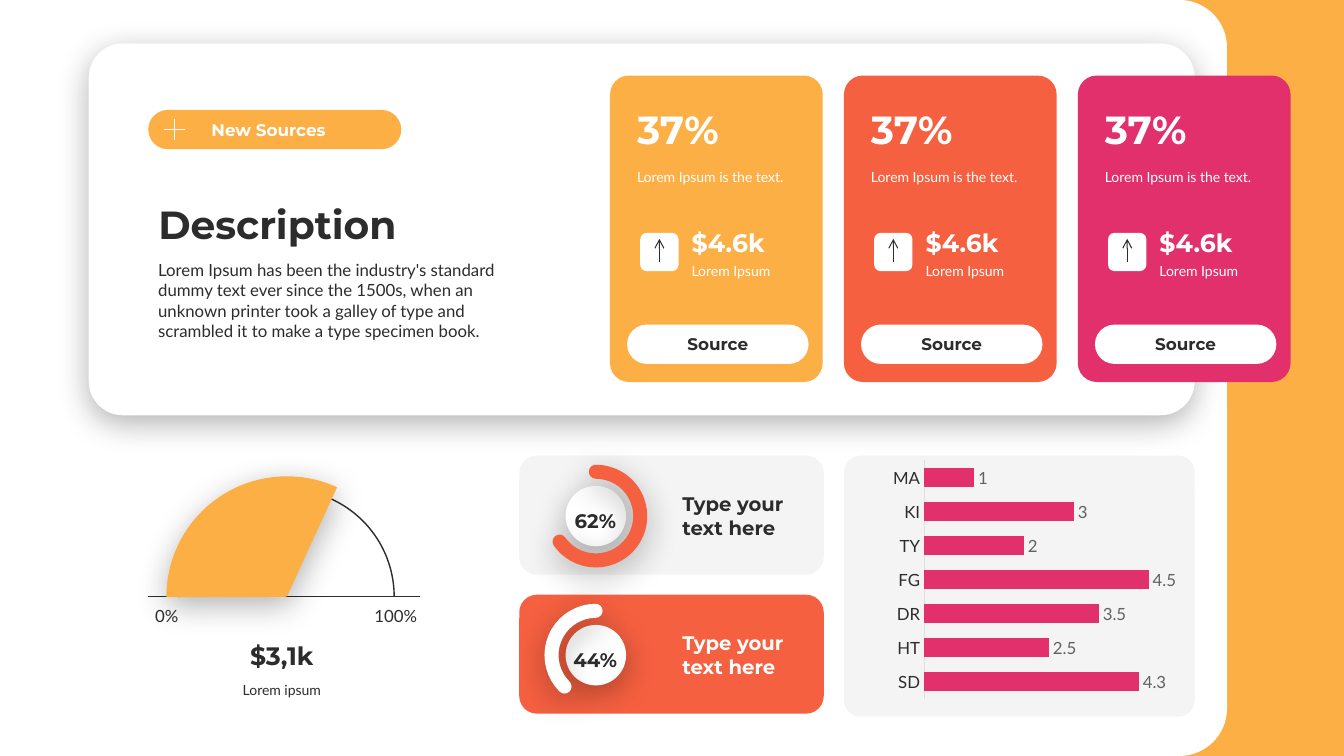
from lxml import etree
from pptx import Presentation
from pptx.chart.data import CategoryChartData
from pptx.dml.color import RGBColor
from pptx.enum.chart import XL_CHART_TYPE, XL_LABEL_POSITION, XL_TICK_MARK
from pptx.enum.shapes import MSO_CONNECTOR, MSO_SHAPE
from pptx.enum.text import MSO_ANCHOR, MSO_AUTO_SIZE, PP_ALIGN
from pptx.oxml.ns import qn
from pptx.util import Inches, Pt

RECTANGLE, ROUNDED = MSO_SHAPE.RECTANGLE, MSO_SHAPE.ROUNDED_RECTANGLE
OVAL, ARC = MSO_SHAPE.OVAL, MSO_SHAPE.ARC
LEFT, CENTER = PP_ALIGN.LEFT, PP_ALIGN.CENTER
TOP, MIDDLE, BOTTOM = MSO_ANCHOR.TOP, MSO_ANCHOR.MIDDLE, MSO_ANCHOR.BOTTOM
HEADING, BODY = "Montserrat", "Lato"
YELLOW, ORANGE, PINK = "FCAF45", "F56040", "E1306C"
WHITE, DARK, GRAY, AXIS_GRAY = "FFFFFF", "2C2C2C", "616161", "DFDFDF"

# Content
TITLE = "Description"
DESCRIPTION = ("Lorem Ipsum has been the industry's standard dummy text ever since the "
               "1500s, when an unknown printer took a galley of type and scrambled it "
               "to make a type specimen book.")
BADGE = "New Sources"
CARDS = [  # colour, share, caption, amount, amount caption, button
    (color, "37%", "Lorem Ipsum is the text.", "$4.6k", "Lorem Ipsum", "Source")
    for color in (YELLOW, ORANGE, PINK)
]
GAUGE_LABELS = [("0%", 1.54, 0.23), ("100%", 3.71, 0.43)]
GAUGE_AMOUNT, GAUGE_CAPTION = "$3,1k", "Lorem ipsum"
RINGS = [  # share, text, box colour, box opacity, ring colour, text colour, arc angles
    ("62%", "Type your text here", DARK, 5, ORANGE, DARK, (270, 144.91)),
    ("44%", "Type your text here", ORANGE, 100, WHITE, WHITE, (134.91, 269.66)),
]
BARS = {"SD": 4.3, "HT": 2.5, "DR": 3.5, "FG": 4.5, "TY": 2, "KI": 3, "MA": 1}

# Grid, in inches
SLIDE_WIDTH, SLIDE_HEIGHT = 13.33, 7.5
TEXT_LEFT, TEXT_WIDTH = 1.47, 3.68
CARD_LEFT, CARD_TOP, CARD_STEP = 6.05, 0.75, 2.32
RING_LEFT, RING_TOP, RING_STEP = 5.15, 4.52, 1.38
GAUGE_X, GAUGE_Y = 2.845, 5.92

presentation = Presentation()
presentation.slide_width = Inches(SLIDE_WIDTH)
presentation.slide_height = Inches(SLIDE_HEIGHT)
slide = presentation.slides.add_slide(presentation.slide_layouts[5])
shapes = slide.shapes


def rgb(color):
    return RGBColor.from_string(color)


def box(left, top, width, height):
    return [Inches(value) for value in (left, top, width, height)]


def add_alpha(color_element, percent):
    etree.SubElement(color_element, qn("a:alpha"), val=str(percent * 1000))


def add_shadow(shape):
    effects = shape._element.spPr.find(qn("a:effectLst"))
    shadow = etree.SubElement(effects, qn("a:outerShdw"), blurRad=str(Pt(23)),
                              dist=str(Pt(6)), dir="5400000", algn="t", rotWithShape="0")
    add_alpha(etree.SubElement(shadow, qn("a:srgbClr"), val="000000"), 30)


def add_shape(kind, bounds, fill=None, adjust=(), opacity=100, line=None, shadow=False):
    shape = shapes.add_shape(kind, *box(*bounds))
    for index, value in enumerate(adjust):
        shape.adjustments[index] = value
    shape.shadow.inherit = False
    if fill:
        shape.fill.solid()
        shape.fill.fore_color.rgb = rgb(fill)
        if opacity < 100:
            add_alpha(shape._element.spPr.find(qn("a:solidFill"))[0], opacity)
    else:
        shape.fill.background()
    if line:
        shape.line.color.rgb = rgb(line[0])
        shape.line.width = Pt(line[1])
    else:
        shape.line.fill.background()
    if shadow:
        add_shadow(shape)
    return shape


def add_arc(radius, start, end, center=(GAUGE_X, GAUGE_Y), **style):
    bounds = (center[0] - radius, center[1] - radius, 2 * radius, 2 * radius)
    return add_shape(ARC, bounds, adjust=(start * 0.6, end * 0.6), **style)


def write(shape, text, size, color, font=BODY, align=LEFT, anchor=TOP, inset=0.1,
          wrap=True):
    frame = shape.text_frame
    frame.text = text
    frame.word_wrap = wrap
    frame.auto_size = MSO_AUTO_SIZE.NONE
    frame.vertical_anchor = anchor
    frame.margin_left, frame.margin_right = Inches(inset), Inches(min(inset, 0.1))
    frame.margin_top = frame.margin_bottom = Inches(0.05)
    paragraph = frame.paragraphs[0]
    paragraph.alignment = align
    run_font = paragraph.runs[0].font
    run_font.size, run_font.name, run_font.bold = Pt(size), font, font == HEADING
    run_font.color.rgb = rgb(color)


def add_text(bounds, *content, **style):
    write(shapes.add_textbox(*box(*bounds)), *content, **style)


def add_line(x1, y1, x2, y2, color, width, arrow=False):
    line = shapes.add_connector(MSO_CONNECTOR.STRAIGHT, *box(x1, y1, x2, y2))
    line.line.color.rgb = rgb(color)
    line.line.width = Pt(width)
    if arrow:
        etree.SubElement(line.line._get_or_add_ln(), qn("a:tailEnd"), type="arrow")
    etree.SubElement(line._element.spPr, qn("a:effectLst"))


def add_card(left, color, share, caption, amount, amount_caption, button):
    top = CARD_TOP
    add_shape(ROUNDED, (left, top, 2.11, 3.04), color, (0.089,))
    add_text((left + 0.17, top + 0.87, 1.84, 0.27), caption, 10, WHITE)
    add_text((left + 0.17, top + 0.24, 1.88, 0.57), share, 28, WHITE, HEADING,
             anchor=BOTTOM)
    add_shape(ROUNDED, (left + 0.3, top + 1.56, 0.38, 0.38), WHITE)
    add_line(left + 0.49, top + 1.85, left + 0.49, top + 1.62, DARK, 0.75, arrow=True)
    add_text((left + 0.81, top + 1.81, 1.04, 0.27), amount_caption, 10, WHITE, inset=0)
    add_text((left + 0.81, top + 1.45, 1.04, 0.4), amount, 18, WHITE, HEADING,
             anchor=BOTTOM, inset=0)
    pill = add_shape(ROUNDED, (left + 0.17, top + 2.47, 1.8, 0.39), WHITE, (0.5,))
    write(pill, button, 12, DARK, HEADING, align=CENTER, anchor=MIDDLE)


def add_ring(top, share, text, fill, opacity, ring_color, text_color, angles):
    center = (RING_LEFT + 0.76, top + 0.6)
    add_shape(ROUNDED, (RING_LEFT, top, 3.02, 1.18), fill, (0.148,), opacity)
    add_shape(OVAL, (center[0] - 0.3, center[1] - 0.3, 0.6, 0.6), WHITE, shadow=True)
    add_text((center[0] - 0.34, top + 0.47, 0.67, 0.34), share, 14, DARK, HEADING,
             align=CENTER, anchor=BOTTOM)
    ring = add_arc(0.44, *angles, center=center, line=(ring_color, 10), shadow=True)
    ring.line._get_or_add_ln().set("cap", "rnd")
    add_text((RING_LEFT + 1.52, top + 0.31, 1.3, 0.57), text, 14, text_color, HEADING,
             anchor=MIDDLE)


# Background band and main panel
add_shape(RECTANGLE, (10.84, 0, SLIDE_WIDTH - 10.84, SLIDE_HEIGHT), YELLOW)
add_shape(ROUNDED, (0, 0, 12.17, SLIDE_HEIGHT), WHITE, (0.063,))
panel = add_shape(ROUNDED, (0.88, 0.43, 10.97, 3.69), WHITE, (0.092,), shadow=True)

# Title, placed above the panel
title = shapes.title
title.left, title.top, title.width, title.height = box(TEXT_LEFT, 1.93, TEXT_WIDTH, 0.57)
write(title, TITLE, 28, DARK, HEADING, anchor=BOTTOM)
panel._element.addnext(title._element)

# Badge with plus sign, and description
badge = add_shape(ROUNDED, (TEXT_LEFT, 1.09, 2.51, 0.39), YELLOW, (0.5,))
write(badge, BADGE, 12, WHITE, HEADING, anchor=MIDDLE, inset=0.57)
add_line(1.63, 1.285, 1.84, 1.285, WHITE, 0.75)
add_line(1.735, 1.18, 1.735, 1.39, WHITE, 0.75)
add_text((TEXT_LEFT, 2.53, TEXT_WIDTH, 0.91), DESCRIPTION, 12, DARK)

# Cards
for column, card in enumerate(CARDS):
    add_card(CARD_LEFT + column * CARD_STEP, *card)

# Gauge
add_arc(1.065, 179.82, 0, line=(DARK, 1))
add_line(TEXT_LEFT, GAUGE_Y, 4.17, GAUGE_Y, DARK, 1)
for label, left, width in GAUGE_LABELS:
    add_text((left, 6.01, width, 0.2), label, 12, DARK, align=CENTER, anchor=MIDDLE,
             inset=0, wrap=False)
add_arc(1.195, 179.82, 294.62, fill=YELLOW, shadow=True)
add_text((1.59, 6.71, 2.41, 0.27), GAUGE_CAPTION, 10, DARK, align=CENTER)
add_text((1.59, 6.3, 2.41, 0.4), GAUGE_AMOUNT, 18, DARK, HEADING, align=CENTER,
         anchor=BOTTOM)

# Rings
for row, ring_content in enumerate(RINGS):
    add_ring(RING_TOP + row * RING_STEP, *ring_content)

# Bar chart
add_shape(ROUNDED, (8.37, 4.52, 3.48, 2.59), DARK, (0.064,), 5)
chart_data = CategoryChartData()
chart_data.categories = list(BARS)
chart_data.add_series("Series 1", list(BARS.values()))
chart = shapes.add_chart(XL_CHART_TYPE.BAR_CLUSTERED, *box(8.8, 4.52, 2.9, 2.46),
                         chart_data).chart
chart.has_legend = chart.has_title = False
chart.font.size, chart.font.name = Pt(10), BODY
chart.font.color.rgb = rgb(DARK)
value_axis, category_axis = chart.value_axis, chart.category_axis
value_axis.visible = value_axis.has_major_gridlines = False
value_axis.minimum_scale, value_axis.maximum_scale = 0, 5
category_axis.major_tick_mark = XL_TICK_MARK.NONE
category_axis.format.line.color.rgb = rgb(AXIS_GRAY)
category_axis.format.line.width = Pt(0.75)
plot = chart.plots[0]
plot.gap_width, plot.vary_by_categories = 75, False
bars_fill = plot.series[0].format.fill
bars_fill.solid()
bars_fill.fore_color.rgb = rgb(PINK)
labels = plot.series[0].data_labels
labels.show_value, labels.position = True, XL_LABEL_POSITION.OUTSIDE_END
for font, color in ((category_axis.tick_labels.font, DARK), (labels.font, GRAY)):
    font.size, font.name = Pt(12), BODY
    font.color.rgb = rgb(color)

presentation.save("out.pptx")
